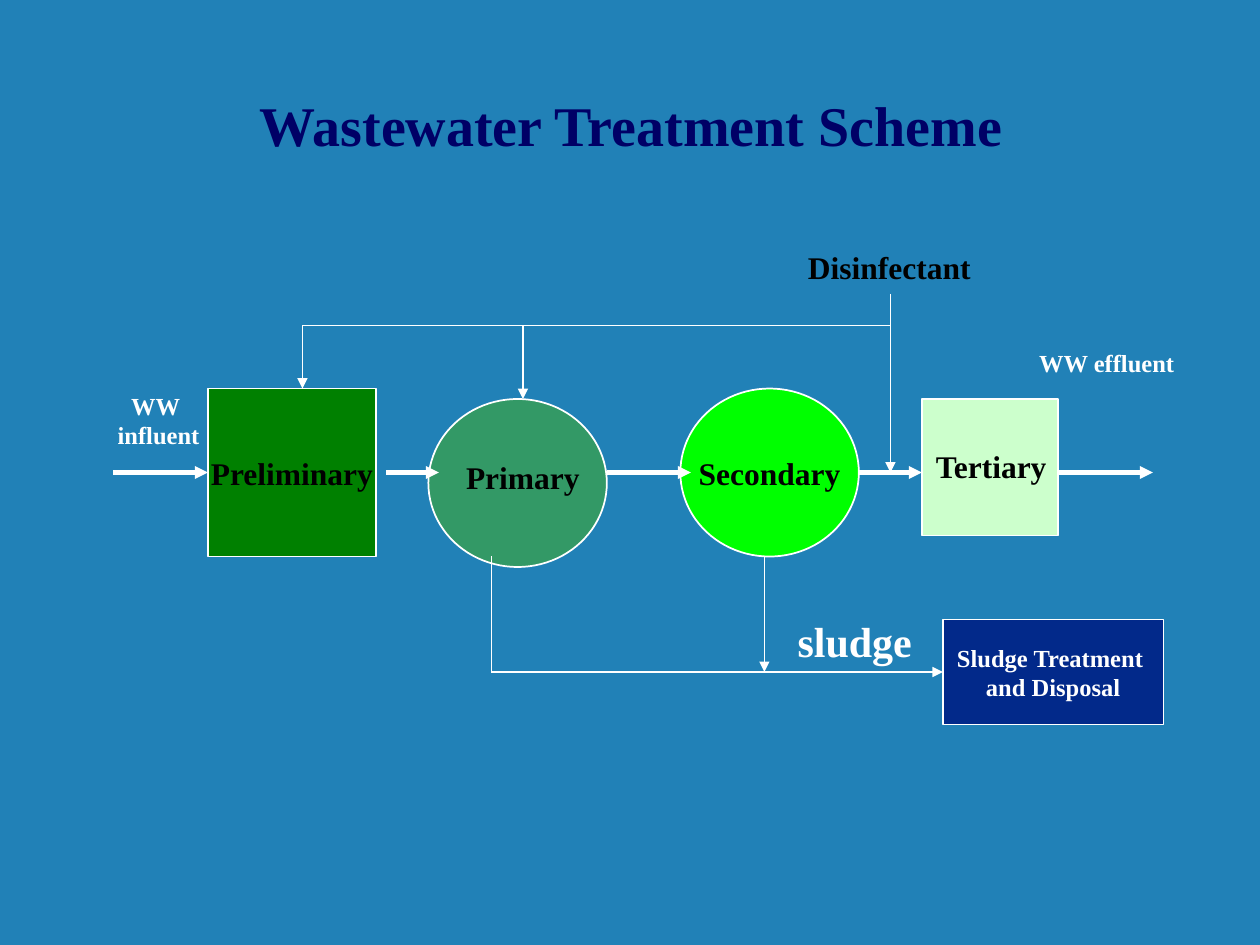
"""Build the wastewater treatment scheme slide."""
from pptx import Presentation, util as u
from pptx.dml.color import RGBColor
from pptx.enum import shapes, text
from pptx.oxml.ns import qn
from lxml import etree

SKY = RGBColor(0x21, 0x81, 0xB7)
NAVY = RGBColor(0x00, 0x00, 0x66)
BLUE = RGBColor(0x02, 0x29, 0x8A)
DARK = RGBColor(0x00, 0x80, 0x00)
SEA = RGBColor(0x33, 0x99, 0x66)
LIME = RGBColor(0x00, 0xFF, 0x00)
PALE = RGBColor(0xCC, 0xFF, 0xCC)
WHITE = RGBColor(0xFF, 0xFF, 0xFF)
BLACK = RGBColor(0x00, 0x00, 0x00)
RECT = shapes.MSO_SHAPE.RECTANGLE
OVAL = shapes.MSO_SHAPE.OVAL
LEFT = 0.9
STEP = 1 / 12
FLOW = 45
DOSE = 31
SLUDGE = 64


def col(n):
    """Return the x of a grid column."""
    return u.Inches(LEFT + n * STEP)


def row(n):
    """Return the y of a grid row, or the length of n grid steps."""
    return u.Inches(n * STEP)


def write(frame, words, size, color):
    """Fill a text frame with bold centred lines."""
    frame.text = words
    frame.word_wrap = False
    frame.vertical_anchor = text.MSO_ANCHOR.MIDDLE
    for para in frame.paragraphs:
        para.alignment = text.PP_ALIGN.CENTER
        font = para.font
        font.name, font.size, font.bold = "Times New Roman", u.Pt(size), True
        font.color.rgb = color


def title(slide, words):
    """Place the slide title."""
    head = slide.shapes.title
    head.left, head.top = u.Inches(1.92), u.Inches(0.67)
    head.width, head.height = u.Inches(6.18), u.Inches(0.63)
    write(head.text_frame, words, 32, NAVY)


def stage(slide, kind, x, y, w, h, fill, words="", size=18, color=BLACK, line=1):
    """Draw one treatment unit."""
    box = slide.shapes.add_shape(kind, col(x), row(y), row(w), row(h))
    box.shadow.inherit = False
    box.fill.solid()
    box.fill.fore_color.rgb = fill
    box.line.color.rgb = WHITE
    box.line.width = u.Pt(line)
    if words:
        write(box.text_frame, words, size, color)


def label(slide, x, y, w, h, words, size, color):
    """Write text in a box centred on a grid point."""
    box = slide.shapes.add_textbox(col(x - w / 2), row(y - h / 2), row(w), row(h))
    write(box.text_frame, words, size, color)


def pipe(slide, x1, y1, x2, y2, width, arrow=True):
    """Draw a white line, with an arrowhead at its end if asked."""
    line = slide.shapes.add_connector(
        shapes.MSO_CONNECTOR.STRAIGHT, col(x1), row(y1), col(x2), row(y2))
    line.line.color.rgb = WHITE
    line.line.width = u.Pt(width)
    if arrow:
        etree.SubElement(line.line._get_or_add_ln(), qn("a:tailEnd"), type="triangle")
    etree.SubElement(line._element.spPr, qn("a:effectLst"))


def main():
    """Build and save the slide."""
    deck = Presentation()
    deck.slide_width, deck.slide_height = u.Inches(10), u.Inches(7.5)
    slide = deck.slides.add_slide(deck.slide_layouts[5])
    slide.background.fill.solid()
    slide.background.fill.fore_color.rgb = SKY
    title(slide, "Wastewater Treatment Scheme")

    stage(slide, RECT, 9, 37, 16, 16, DARK, "Preliminary")
    stage(slide, OVAL, 30, 38, 17, 16, SEA)
    stage(slide, OVAL, 54, 37, 17, 16, LIME, "Secondary")
    stage(slide, RECT, 77, 38, 13, 13, PALE)
    stage(slide, RECT, 79, 59, 21, 10, BLUE,
          "Sludge Treatment \nand Disposal", 14, WHITE, 0.75)

    for x1, x2 in ((0, 9), (26, 31), (47, 55), (71, 77), (90, 99)):
        pipe(slide, x1, FLOW, x2, FLOW, 2.5)

    pipe(slide, 74, 28, 74, FLOW, 1)
    pipe(slide, 18, DOSE, 74, DOSE, 0.75, False)
    for x, y in ((18, 37), (39, 38)):
        pipe(slide, x, DOSE, x, y, 0.75)

    pipe(slide, 36, 53, 36, SLUDGE, 1, False)
    pipe(slide, 36, SLUDGE, 79, SLUDGE, 1)
    pipe(slide, 62, 53, 62, SLUDGE, 0.75)

    for x, y, w, h, words, size, color in (
            (4.3, 40, 10.5, 7, "WW \ninfluent", 14, WHITE),
            (94.6, 34.5, 16, 4, "WW effluent", 14, WHITE),
            (70.6, 61, 14, 6, "sludge", 24, WHITE),
            (39, 45.4, 14, 5, "Primary", 18, BLACK),
            (83.6, 44.4, 13.5, 5, "Tertiary", 18, BLACK),
            (73.9, 25.4, 18.5, 5, "Disinfectant", 18, BLACK)):
        label(slide, x, y, w, h, words, size, color)
    deck.save("out.pptx")


if __name__ == "__main__":
    main()
